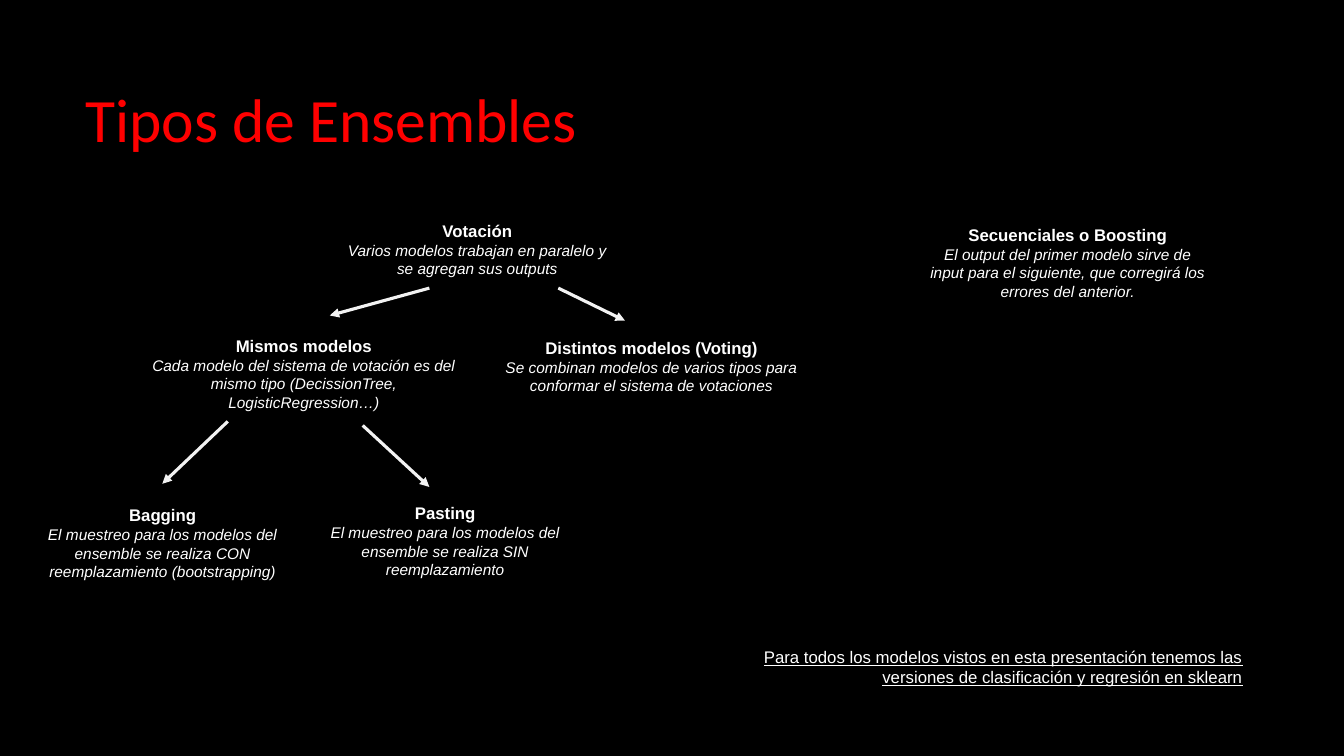
"""Build the slide that shows the types of ensembles as a tree."""
from dataclasses import dataclass

from lxml import etree
from pptx import Presentation
from pptx import util as u
from pptx.dml import color
from pptx.enum import shapes, text
from pptx.oxml import ns


@dataclass(frozen=True)
class Theme:
    """Colours, fonts and type sizes of the slide."""
    back: str = "000000"
    title: str = "FF0000"
    ink: str = "FFFFFF"
    line: str = "F2F2F2"
    head_font: str = "Calibri"
    font: str = "Arial"
    big: int = 44
    mid: int = 12
    small: int = 11
    width: float = 2.25


THEME = Theme()
ALIGN = text.PP_ALIGN

NODES = [
    ("Votación", "Varios modelos trabajan en paralelo y se agregan sus outputs",
     (8.31, 5.44, 7.44, 1.7)),
    ("Mismos modelos",
     "Cada modelo del sistema de votación es del mismo tipo "
     "(DecissionTree, LogisticRegression…)",
     (3.28, 8.33, 8.76, 2.18)),
    ("Distintos modelos (Voting)",
     "Se combinan modelos de varios tipos para conformar el sistema de votaciones",
     (12.04, 8.38, 8.76, 1.7)),
    ("Bagging",
     "El muestreo para los modelos del ensemble se realiza CON "
     "reemplazamiento (bootstrapping)",
     (0.53, 12.6, 7.14, 2.18)),
    ("Pasting",
     "El muestreo para los modelos del ensemble se realiza SIN reemplazamiento",
     (7.65, 12.55, 7.14, 2.18)),
    ("Secuenciales o Boosting",
     "El output del primer modelo sirve de input para el siguiente, "
     "que corregirá los errores del anterior.",
     (23.19, 5.54, 7.44, 2.18)),
]

ARROWS = [
    (10.82, 7.26, 8.31, 7.95),
    (14.07, 7.26, 15.75, 8.08),
    (9.14, 10.72, 10.82, 12.27),
    (5.74, 10.62, 4.09, 12.19),
]


def rgb(code):
    """Turn a hex code into a colour."""
    return color.RGBColor.from_string(code)


def write(para, words, size=THEME.mid, font=THEME.font, ink=THEME.ink,
          align=ALIGN.CENTER, **marks):
    """Put formatted words in a paragraph; marks are bold, italic, underline."""
    para.alignment = align
    run = para.add_run()
    run.text = words
    run.font.size = u.Pt(size)
    run.font.name = font
    run.font.color.rgb = rgb(ink)
    for mark, value in marks.items():
        setattr(run.font, mark, value)


def add_box(slide, area):
    """Add a wrapping text box and return its text frame."""
    frame = slide.shapes.add_textbox(*map(u.Cm, area)).text_frame
    frame.word_wrap = True
    return frame


def add_title(slide, words, area):
    """Add the large heading."""
    frame = add_box(slide, area)
    frame.vertical_anchor = text.MSO_ANCHOR.MIDDLE
    para = frame.paragraphs[0]
    para.line_spacing = 0.9
    write(para, words, size=THEME.big, font=THEME.head_font,
          ink=THEME.title, align=ALIGN.LEFT)


def add_node(slide, name, about, area):
    """Add a bold name with an italic description below it."""
    frame = add_box(slide, area)
    write(frame.paragraphs[0], name, bold=True)
    write(frame.add_paragraph(), about, size=THEME.small, italic=True)


def add_note(slide, words, area):
    """Add the underlined closing remark."""
    frame = add_box(slide, area)
    write(frame.paragraphs[0], words, align=ALIGN.RIGHT, underline=True)


def add_arrow(slide, ends):
    """Add a straight line with a triangle at its end."""
    arrow = slide.shapes.add_connector(
        shapes.MSO_CONNECTOR.STRAIGHT, *map(u.Cm, ends))
    arrow.line.color.rgb = rgb(THEME.line)
    arrow.line.width = u.Pt(THEME.width)
    tip = etree.SubElement(arrow.line._get_or_add_ln(), ns.qn("a:tailEnd"))
    tip.set("type", "triangle")
    etree.SubElement(arrow._element.spPr, ns.qn("a:effectLst"))


def main():
    """Build and save the slide."""
    deck = Presentation()
    deck.slide_width, deck.slide_height = u.Cm(33.87), u.Cm(19.05)
    slide = deck.slides.add_slide(deck.slide_layouts[6])
    fill = slide.background.fill
    fill.solid()
    fill.fore_color.rgb = rgb(THEME.back)

    add_title(slide, "Tipos de Ensembles", (1.9, 1.6, 21.2, 3))
    for name, about, area in NODES:
        add_node(slide, name, about, area)
    for ends in ARROWS:
        add_arrow(slide, ends)
    add_note(slide,
             "Para todos los modelos vistos en esta presentación tenemos las "
             "versiones de clasificación y regresión en sklearn",
             (17.37, 16.18, 14.2, 1.27))
    deck.save("out.pptx")


if __name__ == "__main__":
    main()
